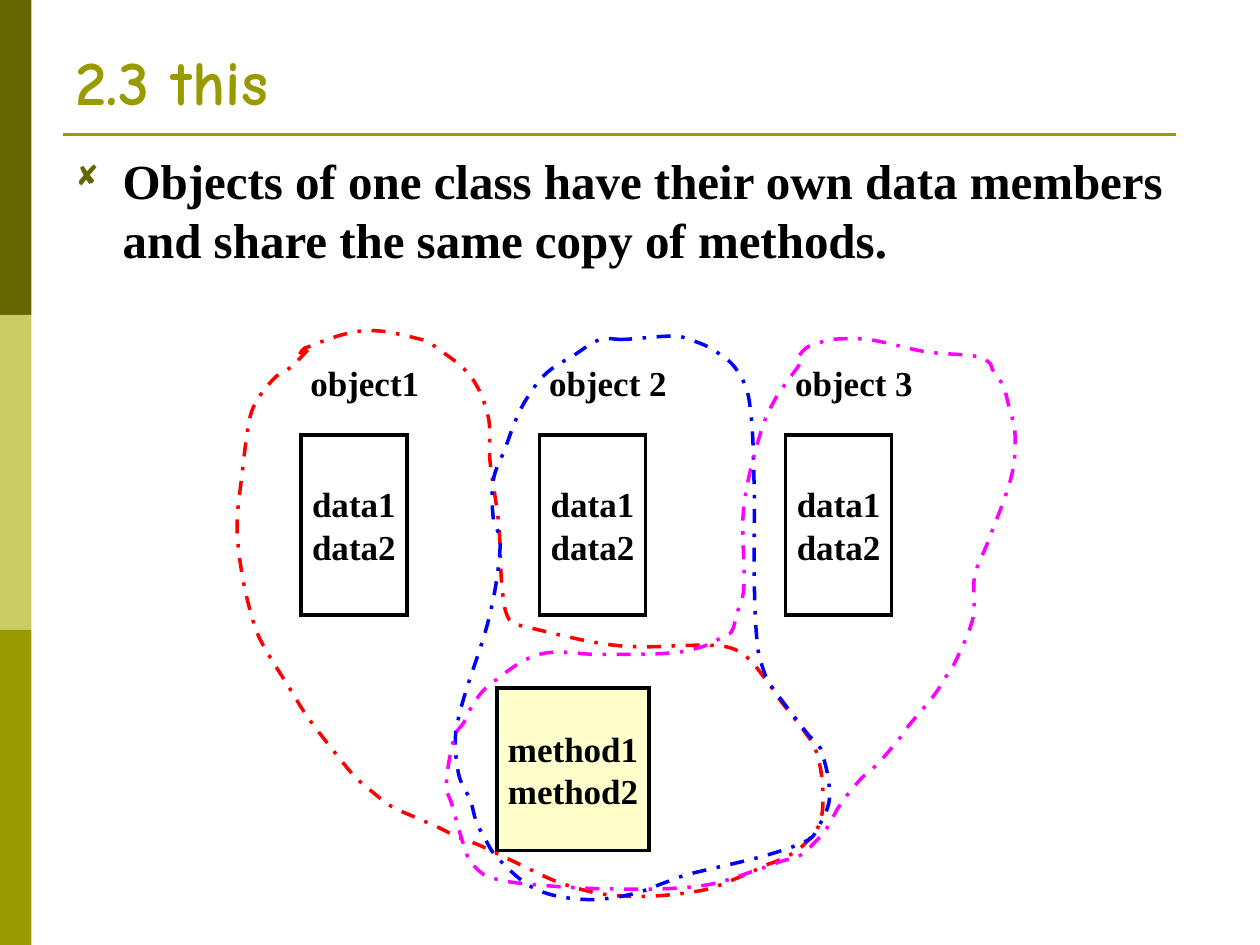
import math

from lxml import etree
from pptx import Presentation
from pptx import util as u
from pptx.dml.color import RGBColor
from pptx.enum import dml, shapes, text
from pptx.oxml.ns import qn

DARK_OLIVE = RGBColor(0x66, 0x66, 0x00)
LIGHT_OLIVE = RGBColor(0xCC, 0xCC, 0x66)
OLIVE = RGBColor(0x99, 0x99, 0x00)
CREAM = RGBColor(0xFF, 0xFF, 0xCC)
BLACK = RGBColor(0x00, 0x00, 0x00)
RED = RGBColor(0xFF, 0x00, 0x00)
BLUE = RGBColor(0x00, 0x00, 0xFF)
MAGENTA = RGBColor(0xFF, 0x00, 0xFF)

SERIF = "Times New Roman"

OBJECT1_LOOP = [
    (176, 200), (166, 210), (158, 215), (148, 227), (143, 238), (138, 274),
    (135.5, 300), (138, 326), (143, 349), (149, 366), (166, 394), (176, 410),
    (193, 432), (203, 444), (211, 451), (224, 461), (235, 466), (251, 473),
    (261, 478), (274, 483), (293, 492), (323, 505.5), (355, 512),
    (400, 509), (428, 499), (436, 495), (444, 492), (454, 487), (462, 480),
    (469, 469), (470, 448), (466, 428), (459, 417), (445, 399), (439, 390),
    (425, 374), (411, 369), (354, 369), (300, 358), (291, 354),
    (287, 336), (285, 299), (280, 263), (279, 238), (269, 215), (250, 199),
    (241, 194), (208, 189), (174, 199), (171, 203),
]
OBJECT2_LOOP = [
    (356, 194), (343, 194), (328, 203), (315, 211), (307, 219), (297, 235),
    (288, 258), (282, 274), (282, 297), (286, 309), (280, 351), (261, 415),
    (262, 442), (269, 458), (272, 469), (277, 479), (284, 490), (306, 508),
    (334, 514), (361, 511), (381, 504), (392, 500), (437, 489), (462, 480),
    (467, 474), (474, 456), (469, 428), (462, 420), (440, 391), (437, 385),
    (433, 370), (431, 331), (431, 279), (428, 228), (420, 210), (406, 199),
    (394, 194), (386, 192), (356, 194),
]
OBJECT3_LOOP = [
    (457, 203), (462, 198), (468, 196), (474, 194), (496, 194), (529, 201),
    (560, 204), (566, 208), (567, 211), (573, 220), (576, 230), (580, 248),
    (578, 272), (564, 311), (557, 329), (556, 353), (546, 378), (541, 386),
    (534, 397), (519, 415), (514, 422), (501, 437), (492, 445), (480, 460),
    (472, 474), (465, 482), (457, 489), (447, 492), (436, 496), (402, 506),
    (351, 508), (300, 505), (279, 501), (271, 495), (267, 489), (258, 459),
    (255, 449), (260, 420), (265, 413), (270, 403), (279, 392), (308, 374),
    (343, 374), (385, 373), (403, 369), (413, 364), (418, 361), (421, 351),
    (425, 337), (425, 290), (435, 246), (443, 228), (452, 215), (458, 206),
    (457, 203),
]


def points(*lengths):
    return [u.Pt(length) for length in lengths]


def write_text(shape, lines, size=20, font=SERIF, color=BLACK,
               align=text.PP_ALIGN.CENTER, anchor=text.MSO_ANCHOR.MIDDLE,
               margins=(4.5, 2.25), wrap=False, bullet=False):
    frame = shape.text_frame
    frame.text = "\n".join(lines)
    frame.auto_size = text.MSO_AUTO_SIZE.NONE
    frame.word_wrap = wrap
    frame.vertical_anchor = anchor
    frame.margin_left = frame.margin_right = u.Pt(margins[0])
    frame.margin_top = frame.margin_bottom = u.Pt(margins[1])
    for paragraph in frame.paragraphs:
        paragraph.alignment = align
        if bullet:
            add_bullet(paragraph)
        paragraph.font.size = u.Pt(size)
        paragraph.font.name = font
        paragraph.font.bold = True
        paragraph.font.color.rgb = color


def add_bullet(paragraph):
    properties = paragraph._p.get_or_add_pPr()
    properties.set("marL", str(u.Pt(27)))
    properties.set("indent", str(u.Pt(-27)))
    color = etree.SubElement(properties, qn("a:buClr"))
    etree.SubElement(color, qn("a:srgbClr"), val=str(DARK_OLIVE))
    etree.SubElement(properties, qn("a:buSzPct"), val="75000")
    etree.SubElement(properties, qn("a:buFont"), typeface="Wingdings")
    etree.SubElement(properties, qn("a:buChar"), char="◻")


def add_box(slide, left, top, width, height, fill=None, line=None):
    shape = slide.shapes.add_shape(
        shapes.MSO_SHAPE.RECTANGLE, *points(left, top, width, height))
    shape.shadow.inherit = False
    if fill is None:
        shape.fill.background()
    else:
        shape.fill.solid()
        shape.fill.fore_color.rgb = fill
    if line is None:
        shape.line.fill.background()
    else:
        shape.line.color.rgb = line
        shape.line.width = u.Pt(2)
        outline = shape._element.spPr.find(qn("a:ln"))
        etree.SubElement(outline, qn("a:miter"), lim="800000")
    return shape


def add_text_box(slide, left, top, width, height, lines, **options):
    box = slide.shapes.add_textbox(*points(left, top, width, height))
    write_text(box, lines, **options)


def add_rule(slide, left, right, y):
    rule = slide.shapes.add_connector(
        shapes.MSO_CONNECTOR.STRAIGHT, *points(left, y, right, y))
    rule.line.color.rgb = OLIVE
    rule.line.width = u.Pt(1.5)
    etree.SubElement(rule._element.spPr, qn("a:effectLst"))


def curve_handles(anchors):
    closed = anchors[0] == anchors[-1]
    before = anchors[-2] if closed else anchors[0]
    after = anchors[1] if closed else anchors[-1]
    padded = [before, *anchors, after]
    for p0, p1, p2, p3 in zip(padded, padded[1:], padded[2:], padded[3:]):
        reach = math.dist(p1, p2) / 3
        start = reach / math.dist(p0, p2)
        end = reach / math.dist(p1, p3)
        yield ([b + start * (c - a) for a, b, c in zip(p0, p1, p2)],
               [c - end * (d - b) for b, c, d in zip(p1, p2, p3)])


def bend_segments(loop, anchors):
    segments = list(loop._element.iter(qn("a:lnTo")))
    for segment, handles in zip(segments, curve_handles(anchors)):
        segment.tag = qn("a:cubicBezTo")
        for index, (x, y) in enumerate(handles):
            handle = etree.Element(qn("a:pt"), x=str(u.Pt(x) - loop.left),
                                   y=str(u.Pt(y) - loop.top))
            segment.insert(index, handle)


def add_loop(slide, anchors, color):
    corners = [points(*anchor) for anchor in anchors]
    builder = slide.shapes.build_freeform(*corners[0])
    builder.add_line_segments(corners[1:], close=anchors[0] == anchors[-1])
    loop = builder.convert_to_shape()
    bend_segments(loop, anchors)
    loop.shadow.inherit = False
    loop.fill.background()
    loop.line.color.rgb = color
    loop.line.width = u.Pt(2)
    loop.line.dash_style = dml.MSO_LINE.DASH_DOT


def add_title(slide, words):
    title = slide.shapes.title
    title.left, title.top, title.width, title.height = points(36, 10, 648, 61)
    write_text(title, [words], size=36, font="Comic Neue", color=OLIVE,
               align=text.PP_ALIGN.LEFT, anchor=text.MSO_ANCHOR.BOTTOM,
               margins=(7.2, 3.6), wrap=True)


def main():
    presentation = Presentation()
    presentation.slide_width, presentation.slide_height = points(720, 540)
    slide = presentation.slides.add_slide(presentation.slide_layouts[5])

    for index, color in enumerate((DARK_OLIVE, LIGHT_OLIVE, OLIVE)):
        add_box(slide, 0, 180 * index, 18, 180, fill=color)
    add_rule(slide, 36, 672, 77)
    add_title(slide, "2.3 this")
    add_text_box(
        slide, 36, 82.5, 648, 356.5,
        ["Objects of one class have their own data members "
         "and share the same copy of methods."],
        size=28, align=text.PP_ALIGN.LEFT, anchor=text.MSO_ANCHOR.TOP,
        margins=(7.2, 3.6), wrap=True, bullet=True)

    for name, left, width in (("object1", 172, 73), ("object 2", 308.4, 78),
                              ("object 3", 449, 78)):
        data = add_box(slide, left, 248.5, 60.5, 103, line=BLACK)
        write_text(data, ["data1", "data2"])
        add_text_box(slide, left, 199, width, 39, [name])
    methods = add_box(slide, 284, 393, 87, 93, fill=CREAM, line=BLACK)
    write_text(methods, ["method1", "method2"])

    for anchors, color in ((OBJECT1_LOOP, RED), (OBJECT2_LOOP, BLUE),
                           (OBJECT3_LOOP, MAGENTA)):
        add_loop(slide, anchors, color)
    presentation.save("out.pptx")


if __name__ == "__main__":
    main()
